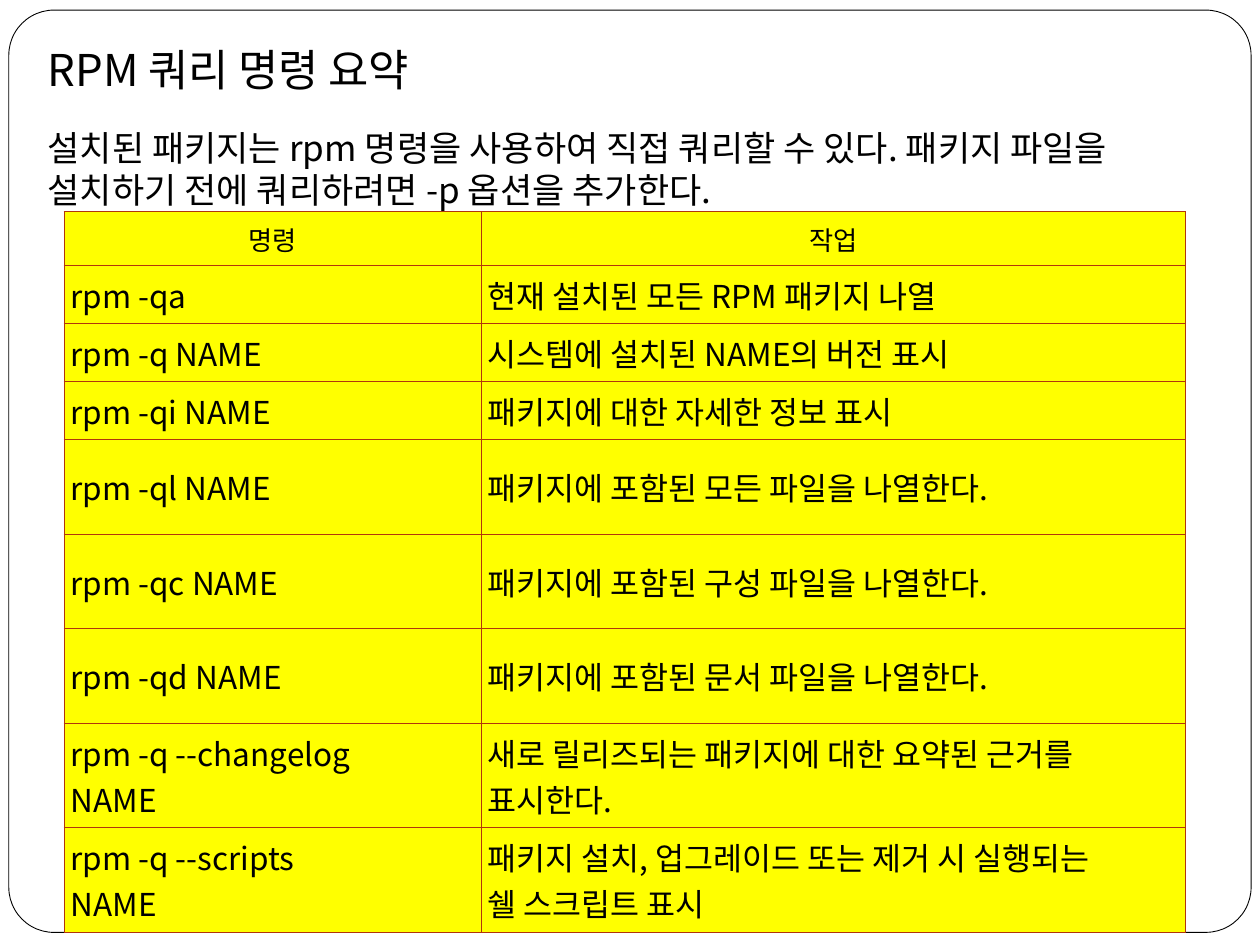
from lxml import etree
from pptx import Presentation
from pptx.dml.color import RGBColor
from pptx.enum.shapes import MSO_SHAPE
from pptx.enum.text import MSO_ANCHOR, PP_ALIGN
from pptx.oxml.ns import qn
from pptx.util import Inches, Pt

FONT = "Noto Sans CJK KR"
BLACK, WHITE, YELLOW, RED = "000000", "FFFFFF", "FFFF00", "B1360B"
TITLE = "RPM 쿼리 명령 요약"
INTRO = ("설치된 패키지는 rpm 명령을 사용하여 직접 쿼리할 수 있다. "
         "패키지 파일을 설치하기 전에 쿼리하려면 -p 옵션을 추가한다.")
HEADER = ("명령", "작업")
COMMANDS = [
    ("rpm -qa", "현재 설치된 모든 RPM 패키지 나열"),
    ("rpm -q NAME", "시스템에 설치된 NAME의 버전 표시"),
    ("rpm -qi NAME", "패키지에 대한 자세한 정보 표시"),
    ("rpm -ql NAME", "패키지에 포함된 모든 파일을 나열한다."),
    ("rpm -qc NAME", "패키지에 포함된 구성 파일을 나열한다."),
    ("rpm -qd NAME", "패키지에 포함된 문서 파일을 나열한다."),
    ("rpm -q --changelog \nNAME", "새로 릴리즈되는 패키지에 대한 요약된 근거를 표시한다."),
    ("rpm -q --scripts \nNAME", "패키지 설치, 업그레이드 또는 제거 시 실행되는 \n쉘 스크립트 표시"),
]
COLUMN_WIDTHS = (3.31, 5.59)
ROW_HEIGHTS = [0.43] + [0.46] * 3 + [0.75] * 3 + [0.83] * 2


def color(value):
    return RGBColor.from_string(value)


def write(frame, text, size, align=PP_ALIGN.LEFT):
    frame.text = text
    for paragraph in frame.paragraphs:
        paragraph.alignment = align
        for run in paragraph.runs:
            run.font.size = Pt(size)
            run.font.name = FONT
            run.font.color.rgb = color(BLACK)
            properties = run.font._element
            properties.set("kern", "0")
            etree.SubElement(properties, qn("a:ea"), typeface=FONT)


def add_borders(cell):
    properties = cell._tc.get_or_add_tcPr()
    for index, side in enumerate(("lnL", "lnR", "lnT", "lnB")):
        line = etree.Element(qn(f"a:{side}"), w=str(Pt(0.75)))
        fill = etree.SubElement(line, qn("a:solidFill"))
        etree.SubElement(fill, qn("a:srgbClr"), val=RED)
        properties.insert(index, line)


prs = Presentation()
prs.slide_width, prs.slide_height = Inches(10), Inches(7.5)
slide = prs.slides.add_slide(prs.slide_layouts[6])

panel = slide.shapes.add_shape(
    MSO_SHAPE.ROUNDED_RECTANGLE, Inches(0.07), Inches(0.08), Inches(9.86), Inches(7.32))
panel.adjustments[0] = 0.049
panel.shadow.inherit = False
panel.fill.solid()
panel.fill.fore_color.rgb = color(WHITE)
panel.line.color.rgb = color(BLACK)
panel.line.width = Pt(0.5)

body = slide.shapes.add_textbox(Inches(0.28), Inches(0.29), Inches(9.45), Inches(6.93))
body.text_frame.word_wrap = True
write(body.text_frame, TITLE + "\n" + INTRO, 20)
title, intro = body.text_frame.paragraphs
title.runs[0].font.size = Pt(25)
intro.space_before = Pt(18)

rows = [HEADER] + COMMANDS
table = slide.shapes.add_table(
    len(rows), len(HEADER), Inches(0.51), Inches(1.68),
    Inches(sum(COLUMN_WIDTHS)), Inches(sum(ROW_HEIGHTS))).table
for column, width in zip(table.columns, COLUMN_WIDTHS):
    column.width = Inches(width)
for r, (texts, height) in enumerate(zip(rows, ROW_HEIGHTS)):
    table.rows[r].height = Inches(height)
    for c, text in enumerate(texts):
        cell = table.cell(r, c)
        cell.margin_left = cell.margin_right = Inches(0.05)
        cell.margin_top = cell.margin_bottom = Inches(0.05)
        cell.vertical_anchor = MSO_ANCHOR.MIDDLE
        cell.fill.solid()
        cell.fill.fore_color.rgb = color(YELLOW)
        add_borders(cell)
        if r == 0:
            write(cell.text_frame, text, 15, PP_ALIGN.CENTER)
        else:
            write(cell.text_frame, text, 18)

prs.save("out.pptx")
